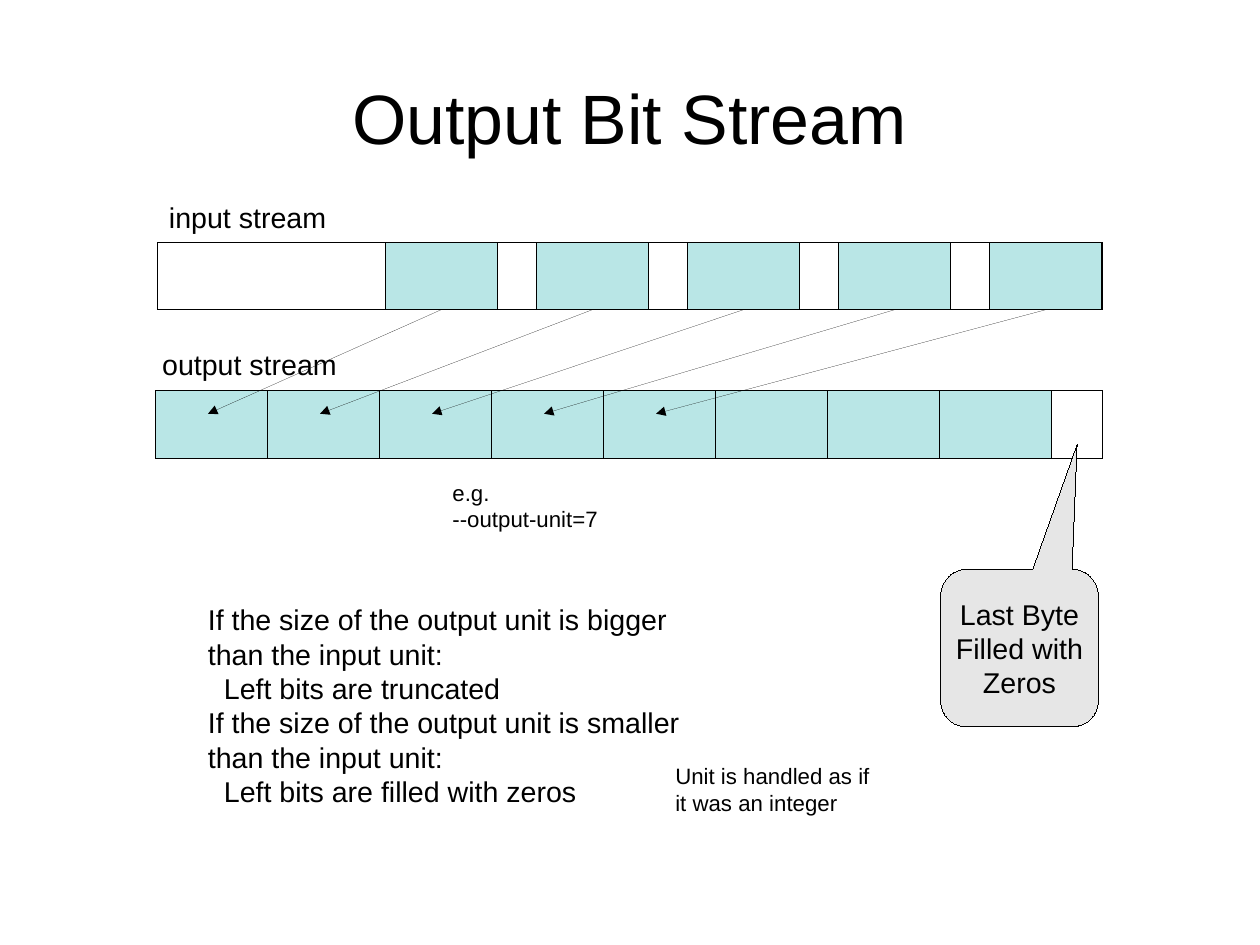
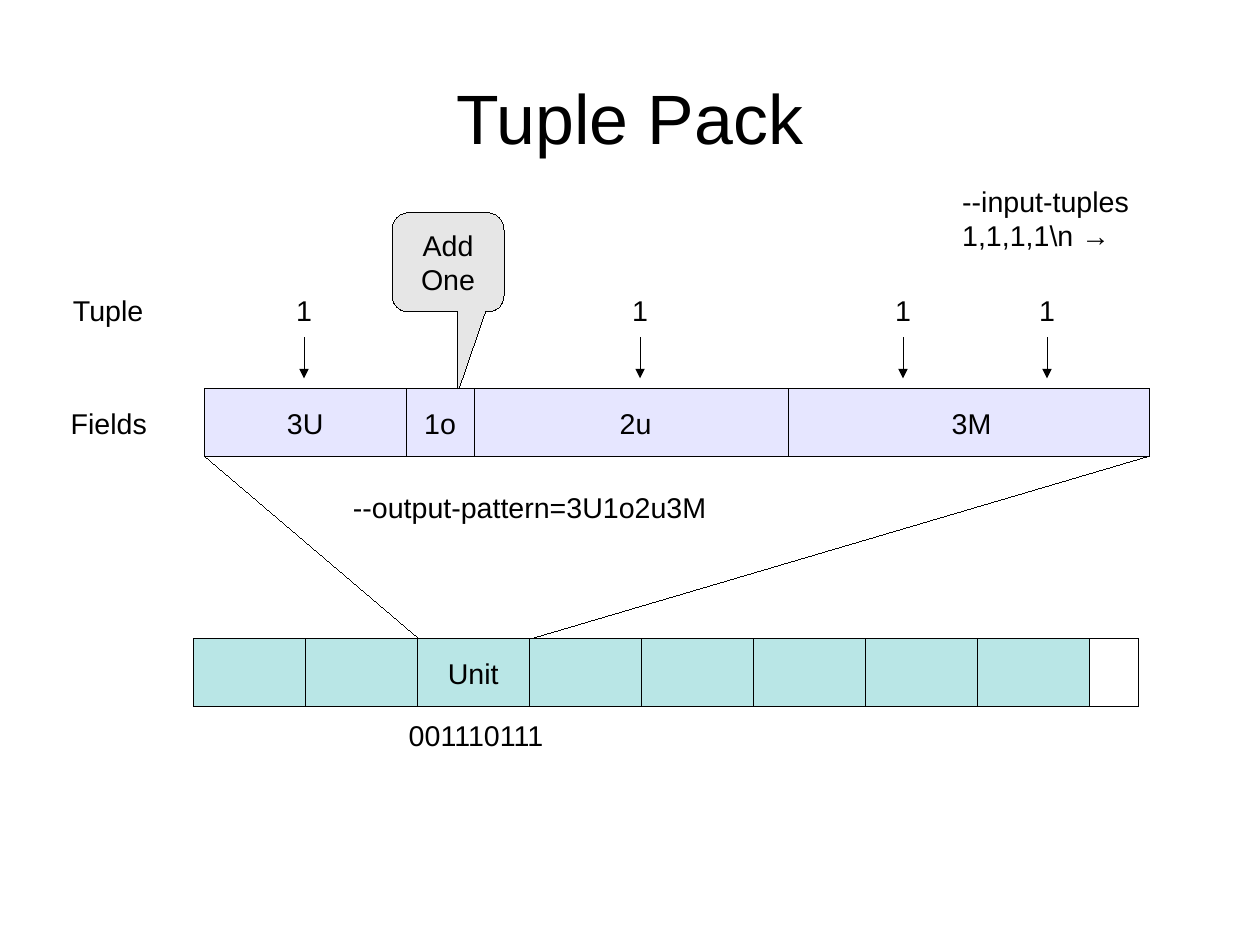
from pptx import Presentation
from pptx.dml.color import RGBColor
from pptx.enum.shapes import MSO_CONNECTOR, MSO_SHAPE as Preset
from pptx.enum.text import MSO_ANCHOR as Anchor, PP_ALIGN as Align
from pptx.oxml.ns import qn
from pptx.util import Cm, Inches, Pt
from lxml.etree import SubElement

# Shared look
BLACK = RGBColor(0x00, 0x00, 0x00)
AQUA = RGBColor(0xB9, 0xE6, 0xE6)
LAVENDER = RGBColor(0xE6, 0xE6, 0xFF)
GREY = RGBColor(0xE6, 0xE6, 0xE6)
FONT = "Arial"

# Shared grid, in inches, on a slide of 28 by 21 cm
SLIDE_WIDTH = Cm(28).inches
BAR_WIDTH = SLIDE_WIDTH * 0.75
UNIT = 0.98
ROW = 0.59
LABEL = 0.38
UNIT_COUNT = 8


def add_box(slide, left, top, width, height, text="", preset=None, fill=None,
            size=18, align=Align.LEFT, anchor=Anchor.TOP, wrap=True):
    """Add an outlined preset shape, or a plain text box if preset is None."""
    frame = [Inches(value) for value in (left, top, width, height)]
    if preset is None:
        shape = slide.shapes.add_textbox(*frame)
    else:
        shape = slide.shapes.add_shape(preset, *frame)
        shape.shadow.inherit = False
        shape.line.color.rgb = BLACK
        shape.element.spPr.find(qn("a:ln")).set("w", "0")
        if fill is None:
            shape.fill.background()
        else:
            shape.fill.solid()
            shape.fill.fore_color.rgb = fill
    text_frame = shape.text_frame
    text_frame.word_wrap = wrap
    text_frame.vertical_anchor = anchor
    text_frame.text = text
    for paragraph in text_frame.paragraphs:
        paragraph.alignment = align
        for run in paragraph.runs:
            run.font.name = FONT
            run.font.size = Pt(size)
            run.font.color.rgb = BLACK
    return shape


def add_line(slide, start, end, arrow=False):
    """Add a black hairline, with an arrowhead at its end if asked."""
    points = [Inches(value) for value in (*start, *end)]
    connector = slide.shapes.add_connector(MSO_CONNECTOR.STRAIGHT, *points)
    connector.line.color.rgb = BLACK
    properties = connector.element.spPr
    outline = properties.find(qn("a:ln"))
    outline.set("w", "0")
    if arrow:
        SubElement(outline, qn("a:tailEnd"), type="triangle")
    SubElement(properties, qn("a:effectLst"))


presentation = Presentation()
presentation.slide_width = Cm(28)
presentation.slide_height = Cm(21)

# Slides with their titles and unit bars: title, bar left, units left, top, named units
slides = []
for title, bar_left, units_left, bar_top, names in (
        ("Output Bit Stream", 1.38, 1.36, 3.42, {}),
        ("Tuple Pack", 1.69, 1.69, 5.59, {2: "Unit"})):
    slide = presentation.slides.add_slide(presentation.slide_layouts[6])
    slides.append(slide)
    add_box(slide, SLIDE_WIDTH * 0.05, 0.38, SLIDE_WIDTH * 0.9, 1.28, title,
            size=44, align=Align.CENTER, anchor=Anchor.MIDDLE)
    add_box(slide, bar_left, bar_top, BAR_WIDTH, ROW, preset=Preset.RECTANGLE)
    for column in range(UNIT_COUNT):
        add_box(slide, units_left + column * UNIT, bar_top, UNIT, ROW,
                names.get(column, ""), Preset.RECTANGLE, AQUA,
                align=Align.CENTER, anchor=Anchor.MIDDLE)
stream_slide, tuple_slide = slides

# Callouts: slide, left, top, width, height, text, pointer tip
for slide, left, top, width, height, text, tip in (
        (stream_slide, 8.23, 4.98, 1.38, 1.38,
         "Last Byte\vFilled with\vZeros", (0.365, -1.292)),
        (tuple_slide, 3.43, 1.86, 0.98, 0.87, "Add\nOne", (0.081, 1.327))):
    callout = add_box(slide, left, top, width, height, text,
                      Preset.ROUNDED_RECTANGULAR_CALLOUT, GREY,
                      align=Align.CENTER, anchor=Anchor.MIDDLE, wrap=False)
    callout.adjustments[0], callout.adjustments[1] = tip

# Output Bit Stream: input bar, with arrows to the output units
INPUT_TOP = 2.12
INPUT_STEP = 5.29 / 4
add_box(stream_slide, 1.38, INPUT_TOP, BAR_WIDTH, ROW, preset=Preset.RECTANGLE)
for column in range(5):
    unit_left = 3.37 + column * INPUT_STEP
    add_box(stream_slide, unit_left, INPUT_TOP, UNIT, ROW,
            preset=Preset.RECTANGLE, fill=AQUA)
    add_line(stream_slide, (unit_left + UNIT / 2, INPUT_TOP + ROW),
             (1.82 + column * UNIT, 3.62), arrow=True)

# Output Bit Stream: labels and notes
add_box(stream_slide, 1.38, 1.7, 1.81, LABEL, "input stream")
add_box(stream_slide, 1.32, 2.99, 1.81, LABEL, "output stream")
add_box(stream_slide, 3.86, 4.14, 2.58, 0.54, "e.g.\n--output-unit=7", size=14)
add_box(stream_slide, 5.81, 6.62, 2, 0.54,
        "Unit is handled as if it was an integer", size=14)
rules = add_box(stream_slide, 1.72, 5.22, 4.48, 1.78,
                "If the size of the output unit is bigger than the input unit:\n"
                "Left bits are truncated\n"
                "If the size of the output unit is smaller than the input unit:\n"
                "Left bits are filled with zeros")
for paragraph in rules.text_frame.paragraphs[1::2]:
    paragraph._p.get_or_add_pPr().set("marL", str(Inches(0.14)))

# Tuple Pack: field bar with its dividers and names
FIELDS_LEFT, FIELDS_TOP = 1.79, 3.4
FIELDS_BOTTOM = FIELDS_TOP + ROW
add_box(tuple_slide, FIELDS_LEFT, FIELDS_TOP, BAR_WIDTH, ROW,
        preset=Preset.RECTANGLE, fill=LAVENDER)
for divider in (3.56, 4.15, 6.9):
    add_line(tuple_slide, (divider, FIELDS_TOP), (divider, FIELDS_BOTTOM))
for name, center in (("3U", 2.67), ("1o", 3.85), ("2u", 5.56), ("3M", 8.5)):
    add_box(tuple_slide, center - UNIT / 2, 3.5, UNIT, LABEL, name,
            align=Align.CENTER)

# Tuple Pack: values that go into the fields
for center in (2.66, 5.6, 7.9, 9.16):
    add_box(tuple_slide, center - UNIT / 2, 2.51, UNIT, LABEL, "1",
            align=Align.CENTER)
    add_line(tuple_slide, (center, 2.95), (center, 3.31), arrow=True)

# Tuple Pack: lines from the unit up to the field bar
add_line(tuple_slide, (3.67, 5.59), (FIELDS_LEFT, FIELDS_BOTTOM))
add_line(tuple_slide, (4.64, 5.59), (FIELDS_LEFT + BAR_WIDTH, FIELDS_BOTTOM))

# Tuple Pack: labels
add_box(tuple_slide, 0.54, 2.51, 1.03, LABEL, "Tuple")
add_box(tuple_slide, 0.52, 3.5, 1.03, LABEL, "Fields")
add_box(tuple_slide, 2.99, 4.24, 3.4, LABEL, "--output-pattern=3U1o2u3M")
add_box(tuple_slide, 3.28, 6.23, 1.77, LABEL, "001110111", align=Align.CENTER)
add_box(tuple_slide, 8.32, 1.56, 2.5, 0.66, "--input-tuples\n1,1,1,1\\n →")

presentation.save("out.pptx")
